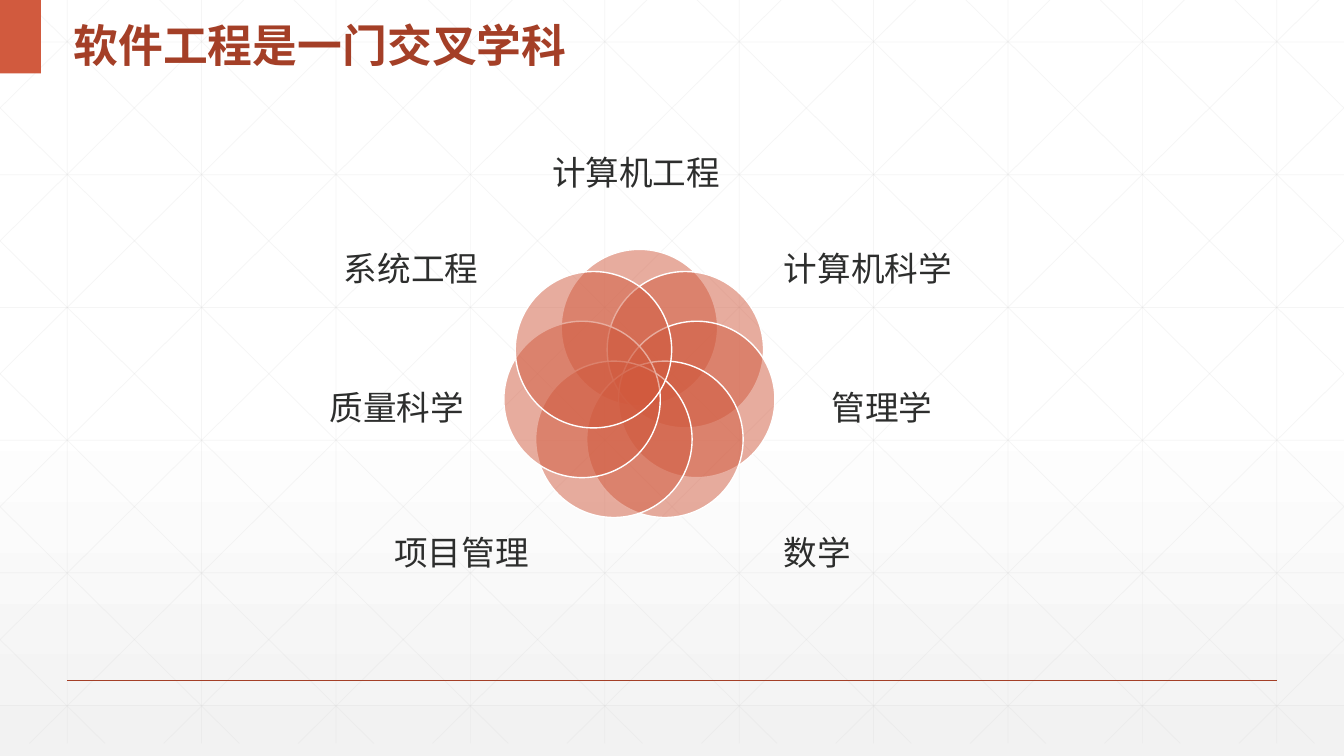
from copy import deepcopy
from dataclasses import dataclass
from math import cos, pi, sin

from lxml import etree
from pptx import Presentation
from pptx.dml.color import RGBColor
from pptx.enum.shapes import MSO_CONNECTOR, MSO_SHAPE
from pptx.enum.text import MSO_ANCHOR, PP_ALIGN
from pptx.oxml.ns import qn
from pptx.util import Pt

STRAIGHT = MSO_CONNECTOR.STRAIGHT
RECT = MSO_SHAPE.RECTANGLE
OVAL = MSO_SHAPE.OVAL
MIDDLE = MSO_ANCHOR.MIDDLE
LEFT = PP_ALIGN.LEFT
CENTER = PP_ALIGN.CENTER
PX = 9525
WIDTH, HEIGHT = 1280, 720


@dataclass(frozen=True)
class Theme:
    accent: str = "D15A3E"
    dark: str = "A43F27"
    ink: str = "2D2E2D"
    grid: str = "D9D9D9"
    white: str = "FFFFFF"
    mist: str = "F2F2F2"
    latin: str = "Arial"
    cjk: str = "Noto Sans CJK SC"
    title_size: int = 32
    label_size: int = 24
    hairline: float = 0.5
    rule: int = 1


THEME = Theme()


def rgb(color):
    return RGBColor.from_string(color)


def px(*lengths):
    return [round(n * PX) for n in lengths]


def set_alpha(fill, percent):
    color = fill._xPr.find(".//" + qn("a:srgbClr"))
    etree.SubElement(color, qn("a:alpha")).set("val", str(percent * 1000))


def add_line(s, x1, y1, x2, y2, color, weight, alpha=100):
    line = s.shapes.add_connector(STRAIGHT, *px(x1, y1, x2, y2))
    line.line.color.rgb = rgb(color)
    line.line.width = Pt(weight)
    if alpha < 100:
        set_alpha(line.line.fill, alpha)
    etree.SubElement(line._element.spPr, qn("a:effectLst"))


def add_solid(s, kind, box, color):
    sp = s.shapes.add_shape(kind, *px(*box))
    sp.shadow.inherit = False
    sp.fill.solid()
    sp.fill.fore_color.rgb = rgb(color)
    sp.line.fill.background()
    return sp


def add_text(s, box, text, size, color, font, align, spacing, inset=0, bold=False):
    tf = s.shapes.add_textbox(*px(*box)).text_frame
    tf.word_wrap = True
    tf.vertical_anchor = MIDDLE
    tf.margin_left, tf.margin_right, tf.margin_top, tf.margin_bottom = px(inset, inset, 0, 0)
    p = tf.paragraphs[0]
    p.text = text
    p.alignment = align
    p.line_spacing = spacing
    p.font.size = Pt(size)
    p.font.bold = bold
    p.font.color.rgb = rgb(color)
    p.font.name = font
    etree.SubElement(p.font._rPr, qn("a:ea")).set("typeface", THEME.cjk)


def paint_background(s):
    fill = s.background.fill
    fill.gradient()
    fill.gradient_angle = 270
    first, last = fill.gradient_stops
    first.color.rgb = rgb(THEME.white)
    last.color.rgb = rgb(THEME.mist)
    stops = s._element.find(".//" + qn("a:gsLst"))
    stops.insert(1, deepcopy(stops[0]))
    fill.gradient_stops[1].position = 0.53


def draw_grid(s, left, top, width, height):
    step, run = 128, 716
    slope = height / run
    segments = [(x, 0, x, height) for x in range(64, width, step)]
    segments += [(0, 40 + i * 126.4, width, 40 + i * 126.4) for i in range(6)]
    for start in range(24 - 5 * step, width, step):
        x1, x2 = max(start, 0), min(start + run, width)
        y1, y2 = (x1 - start) * slope, (x2 - start) * slope
        segments += [(x1, y1, x2, y2), (width - x1, y1, width - x2, y2)]
    for x1, y1, x2, y2 in segments:
        add_line(s, left + x1, top + y1, left + x2, top + y2,
                 THEME.grid, THEME.hairline, alpha=25)


def draw_header(s, left, top, width, height):
    add_solid(s, RECT, (left, top, 39, height), THEME.accent)
    add_text(s, (left + 60, top, width - 60, height), "软件工程是一门交叉学科",
             THEME.title_size, THEME.dark, THEME.cjk, LEFT, 1.3, inset=10, bold=True)


def draw_petals(s, left, top, width, height):
    cx, cy = left + width / 2, top + height / 2
    ring, size = 56, 149
    upper, middle, lower = (137, -161, 161, 101), (152, -32, 158, 108), (84, 111, 171, 98)
    disciplines = [
        ("计算机工程 ", (-85, -247, 171, 91), False),
        ("计算机科学", upper, False),
        ("管理学", middle, False),
        ("数学", lower, False),
        ("项目管理", lower, True),
        ("质量科学", middle, True),
        ("系统工程", upper, True),
    ]
    for i, (name, (dx, dy, w, h), mirrored) in enumerate(disciplines):
        angle = 2 * pi * i / len(disciplines)
        x = cx + ring * sin(angle) - size / 2
        y = cy - ring * cos(angle) - size / 2
        petal = add_solid(s, OVAL, (x, y, size, size), THEME.accent)
        set_alpha(petal.fill, 50)
        petal.line.color.rgb = rgb(THEME.white)
        petal.line.width = Pt(THEME.rule)
        label_x = cx - dx - w if mirrored else cx + dx
        add_text(s, (label_x, cy + dy, w, h), name, THEME.label_size,
                 THEME.ink, THEME.latin, CENTER, 0.9)


def main():
    prs = Presentation()
    prs.slide_width, prs.slide_height = px(WIDTH, HEIGHT)
    s = prs.slides.add_slide(prs.slide_layouts[6])
    paint_background(s)
    draw_grid(s, 0, 0, WIDTH, 708)
    add_line(s, 64, 648, WIDTH - 64, 648, THEME.dark, THEME.rule)
    draw_header(s, 0, 0, 606, 70)
    draw_petals(s, 298, 121, 622, 494)
    prs.save("out.pptx")


if __name__ == "__main__":
    main()
